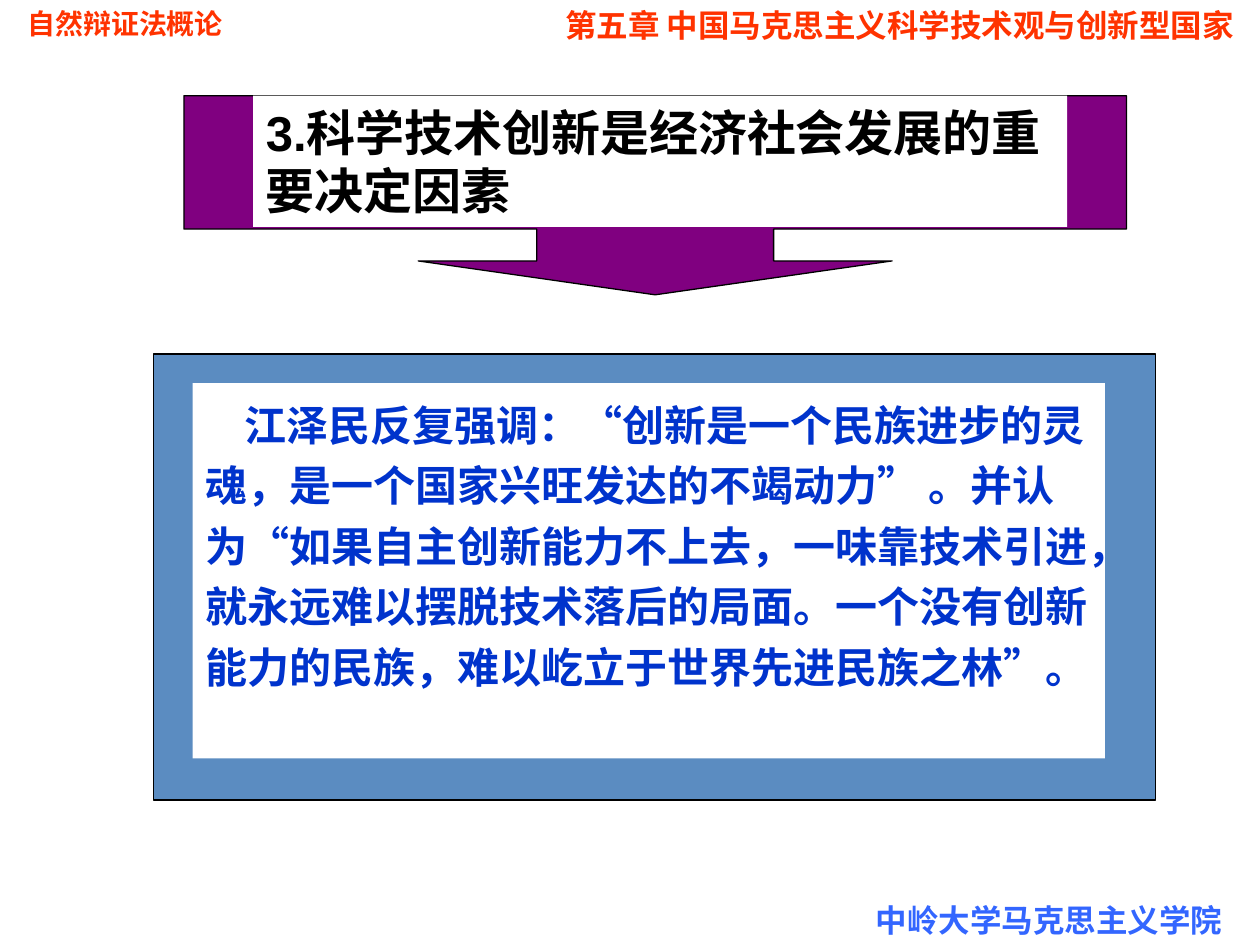
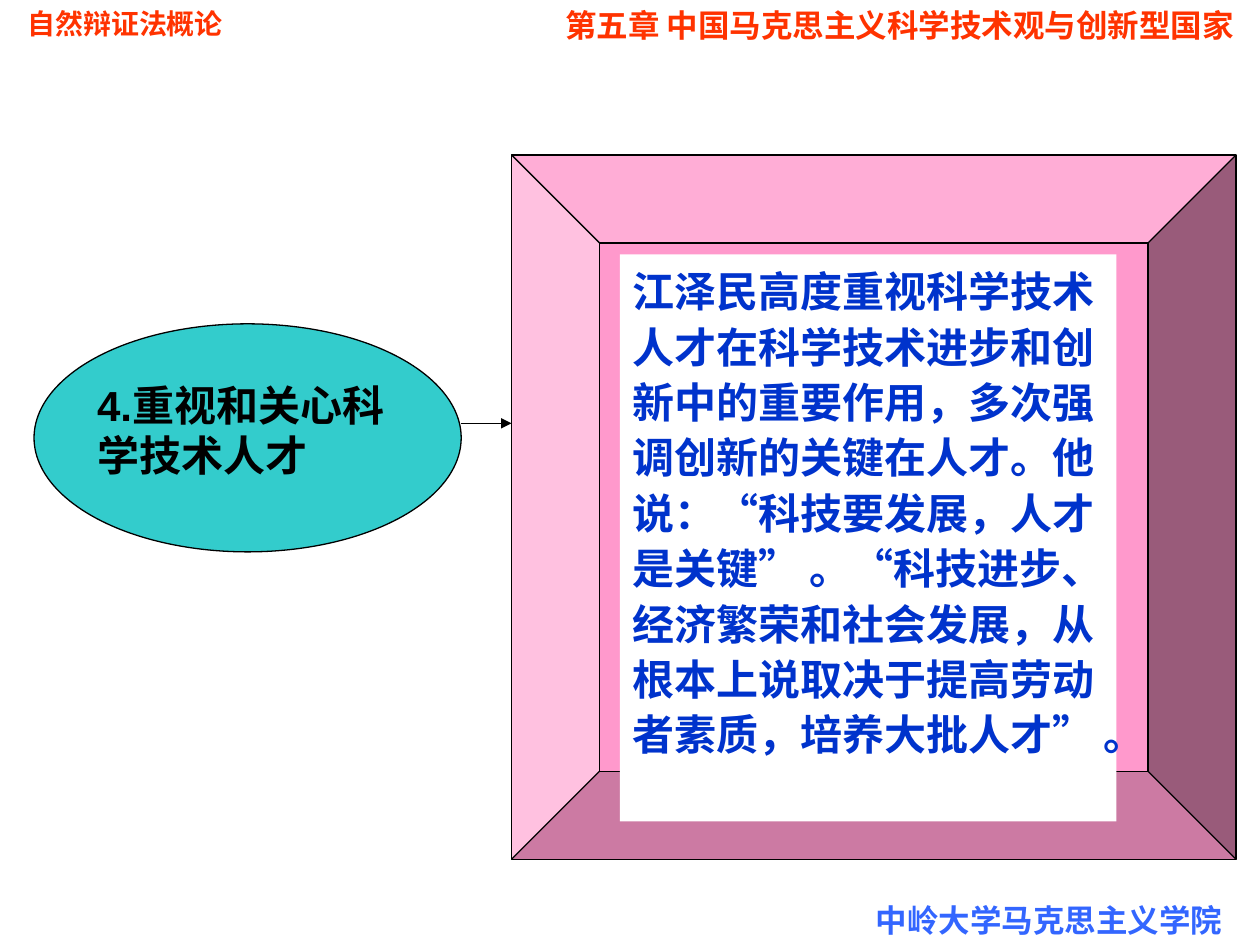
from lxml import etree
from pptx import Presentation
from pptx import util as u
from pptx.dml.color import RGBColor
from pptx.enum import lang, shapes, text
from pptx.oxml.ns import qn

BLACK = RGBColor(0x00, 0x00, 0x00)
WHITE = RGBColor(0xFF, 0xFF, 0xFF)
HEADER_RED = RGBColor(0xFF, 0x33, 0x00)
FOOTER_BLUE = RGBColor(0x33, 0x66, 0xFF)
QUOTE_BLUE = RGBColor(0x00, 0x33, 0xCC)
PURPLE = RGBColor(0x80, 0x00, 0x80)
STEEL = RGBColor(0x5B, 0x8C, 0xC1)
TEAL = RGBColor(0x33, 0xCC, 0xCC)
PINK = RGBColor(0xFF, 0x99, 0xCC)
LATIN, CJK = "Arial", "Noto Sans CJK SC"
KIND = shapes.MSO_SHAPE

deck = Presentation()
deck.slide_width, deck.slide_height = u.Inches(10), u.Inches(7.5)


def frame(left, top, width, height):
    """Turn percentages of the slide's size into lengths."""
    return [int(share * side / 100) for share, side in
            zip((left, top, width, height),
                (deck.slide_width, deck.slide_height) * 2)]


def write(shape, pieces, size, color, align=text.PP_ALIGN.LEFT,
          spacing=1.0, left_indent=0, first_indent=0):
    """Fill a shape with one bold paragraph made of (wording, font) pieces."""
    body = shape.text_frame
    body.word_wrap = True
    body.auto_size = text.MSO_AUTO_SIZE.NONE
    body.vertical_anchor = text.MSO_ANCHOR.TOP
    body.margin_left = body.margin_right = u.Inches(0.1)
    body.margin_top = body.margin_bottom = u.Inches(0.05)
    line = body.paragraphs[0]
    line.alignment, line.line_spacing = align, spacing
    margins = line._p.get_or_add_pPr()
    margins.set("marL", str(u.Inches(left_indent)))
    margins.set("indent", str(u.Inches(first_indent)))
    for wording, font_name in pieces:
        run = line.add_run()
        run.text = wording
        run.font.size, run.font.bold = u.Pt(size), True
        run.font.name = font_name
        run.font.color.rgb = color
        run.font.language_id = lang.MSO_LANGUAGE_ID.SIMPLIFIED_CHINESE
        east_asian = etree.SubElement(run._r.get_or_add_rPr(), qn("a:ea"))
        east_asian.set("typeface", CJK)


RUNNING_TEXTS = [
    ("自然辩证法概论", (1.2, 0, 37.8, 4.93), 16, HEADER_RED,
     text.PP_ALIGN.LEFT, 0),
    ("中岭大学马克思主义学院", (68.5, 94.67, 31.5, 5.33), 18, FOOTER_BLUE,
     text.PP_ALIGN.LEFT, 0),
    ("第五章 中国马克思主义科学技术观与创新型国家", (39.8, 0, 60.2, 5.33), 18,
     HEADER_RED, text.PP_ALIGN.CENTER, 0.3),
]

# Each panel: preset, frame, fill, outlined
TOPICS = [
    {
        "title": "3.科学技术创新是经济社会发展的重要决定因素",
        "title_frame": (20.1, 10.13, 64.6, 13.87),
        "title_size": 28,
        "title_fill": WHITE,
        "panels": [
            (KIND.DOWN_ARROW_CALLOUT, (14.6, 10.13, 74.8, 21.07), PURPLE),
            (KIND.RECTANGLE, (12.2, 37.47, 79.5, 47.2), STEEL),
        ],
        "quote_frame": (15.3, 40.53, 72.4, 39.73),
        "quote_spacing": 1.2,
        "quote_indent": 0.31,
        "quote": ["江泽民反复强调：", "“",
                  "创新是一个民族进步的灵魂，是一个国家兴旺发达的不竭动力", "”",
                  " 。并认为", "“",
                  "如果自主创新能力不上去，一味靠技术引进，就永远难以摆脱技术落后的局面。"
                  "一个没有创新能力的民族，难以屹立于世界先进民族之林", "”", "。"],
    },
    {
        "title": "4.重视和关心科学技术人才",
        "title_frame": (6.7, 39.47, 26.8, 12),
        "title_size": 24,
        "title_fill": None,
        "panels": [
            (KIND.OVAL, (2.7, 34.27, 33.9, 24.13), TEAL),
            (KIND.BEVEL, (40.6, 16.4, 57.5, 74.53), PINK),
        ],
        "quote_frame": (49.2, 26.93, 39.4, 60),
        "quote_spacing": 1.1,
        "quote_indent": 0,
        "quote": ["江泽民高度重视科学技术人才在科学技术进步和创新中的重要作用，"
                  "多次强调创新的关键在人才。他说：", "“",
                  "科技要发展，人才是关键", "”", " 。", "“",
                  "科技进步、经济繁荣和社会发展，从根本上说取决于提高劳动者素质，"
                  "培养大批人才", "”", " 。"],
    },
]
CALLOUT_ADJUSTMENTS = (1.19, 1.19, 0.17, 0.67)

for topic in TOPICS:
    slide = deck.slides.add_slide(deck.slide_layouts[5])

    for wording, place, size, color, align, indent in RUNNING_TEXTS:
        running = slide.shapes.add_textbox(*frame(*place))
        write(running, [(wording, LATIN)], size, color, align,
              left_indent=indent)

    for preset, place, fill in topic["panels"]:
        panel = slide.shapes.add_shape(preset, *frame(*place))
        panel.shadow.inherit = False
        panel.fill.solid()
        panel.fill.fore_color.rgb = fill
        panel.line.color.rgb = BLACK
        panel.line.width = u.Pt(0.75)
        if preset == KIND.DOWN_ARROW_CALLOUT:
            for index, share in enumerate(CALLOUT_ADJUSTMENTS):
                panel.adjustments[index] = share

    # The heading lies on top of its panel
    title = slide.shapes.title
    slide.shapes.element.append(title.element)
    title.left, title.top, title.width, title.height = frame(
        *topic["title_frame"])
    if topic["title_fill"] is not None:
        title.fill.solid()
        title.fill.fore_color.rgb = topic["title_fill"]
    write(title, [(topic["title"], LATIN)], topic["title_size"], BLACK)

    quote = slide.shapes.add_shape(KIND.RECTANGLE,
                                   *frame(*topic["quote_frame"]))
    quote.shadow.inherit = False
    quote.fill.solid()
    quote.fill.fore_color.rgb = WHITE
    quote.line.fill.background()
    pieces = [(part, LATIN if part in "“”" else CJK)
              for part in topic["quote"]]
    write(quote, pieces, 24, QUOTE_BLUE, spacing=topic["quote_spacing"],
          first_indent=topic["quote_indent"])

# Arrow from the heading's ellipse to the bevelled panel of the last slide
start_x, start_y, end_x, end_y = frame(36.6, 44.8, 40.6, 44.8)
arrow = slide.shapes.add_connector(shapes.MSO_CONNECTOR.STRAIGHT,
                                   start_x, start_y, end_x, end_y)
arrow.line.color.rgb = BLACK
arrow.line.width = u.Pt(0.75)
etree.SubElement(arrow.line._get_or_add_ln(), qn("a:tailEnd")).set(
    "type", "triangle")
etree.SubElement(arrow.element.spPr, qn("a:effectLst"))

deck.save("out.pptx")
